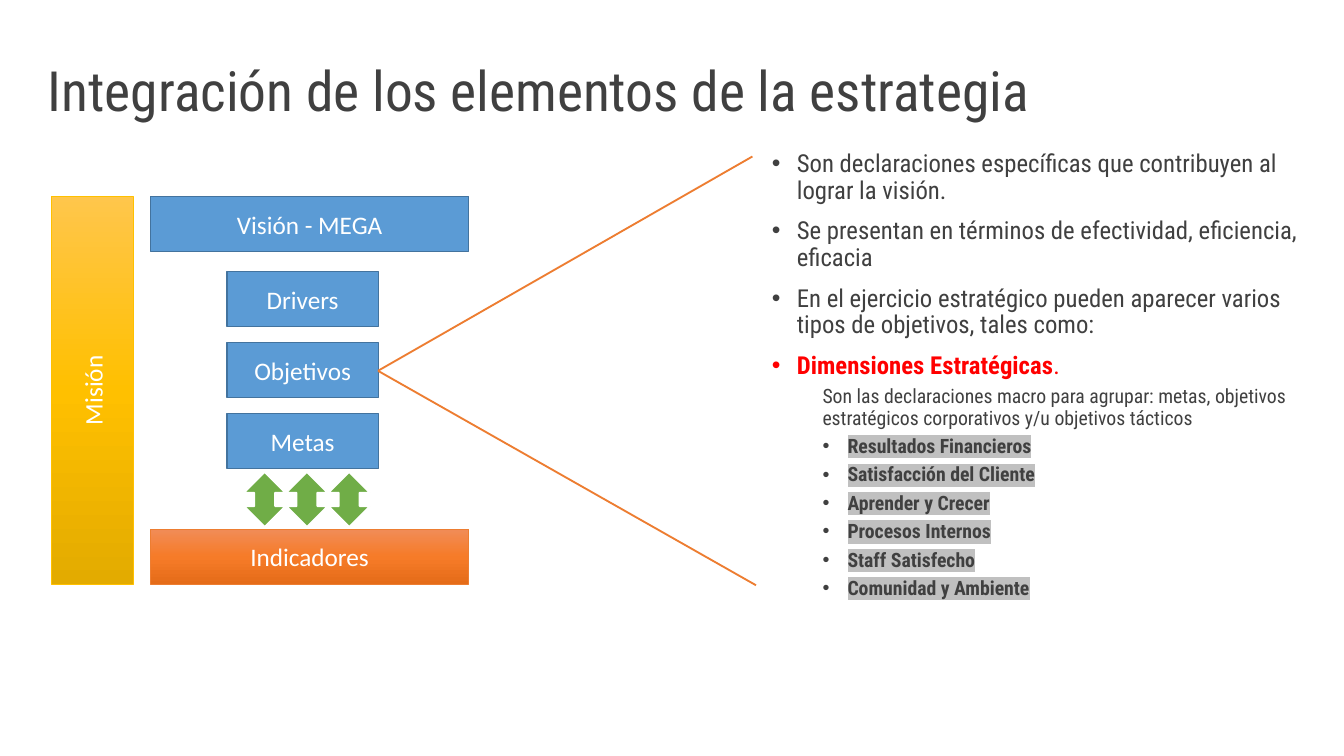
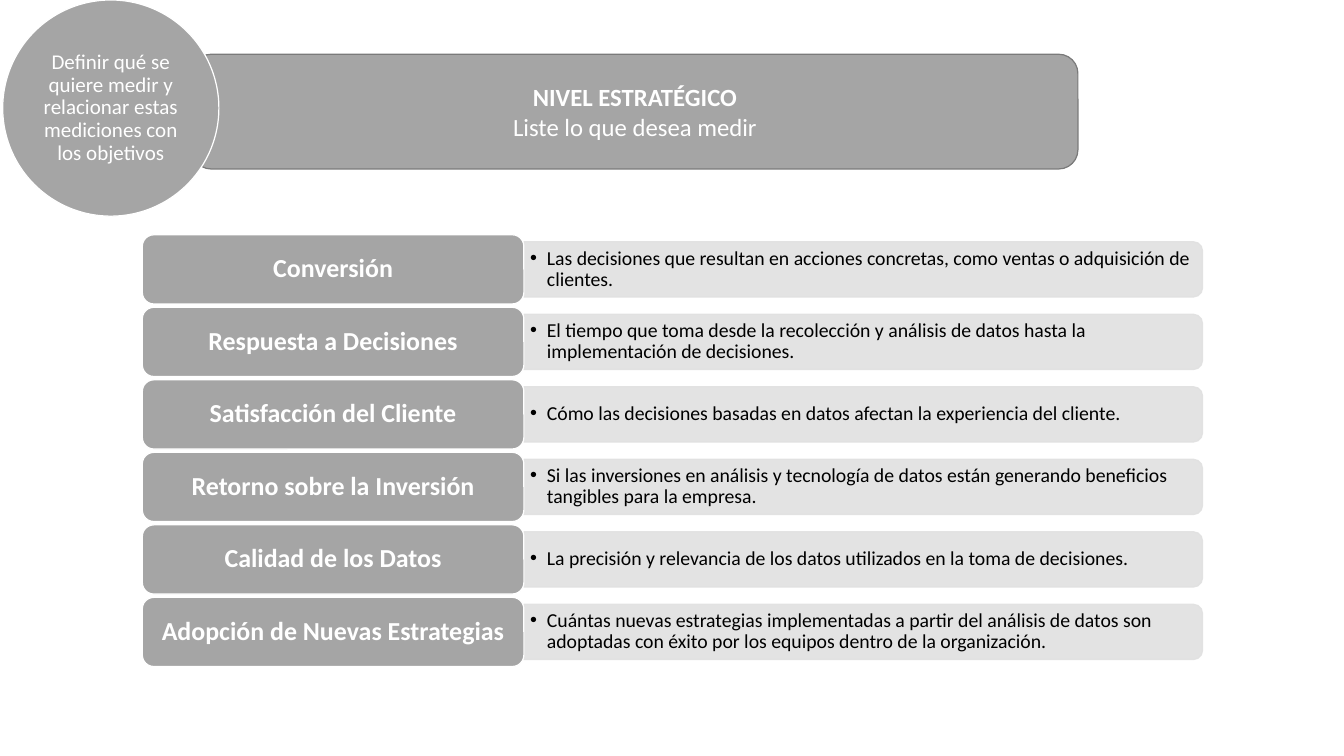
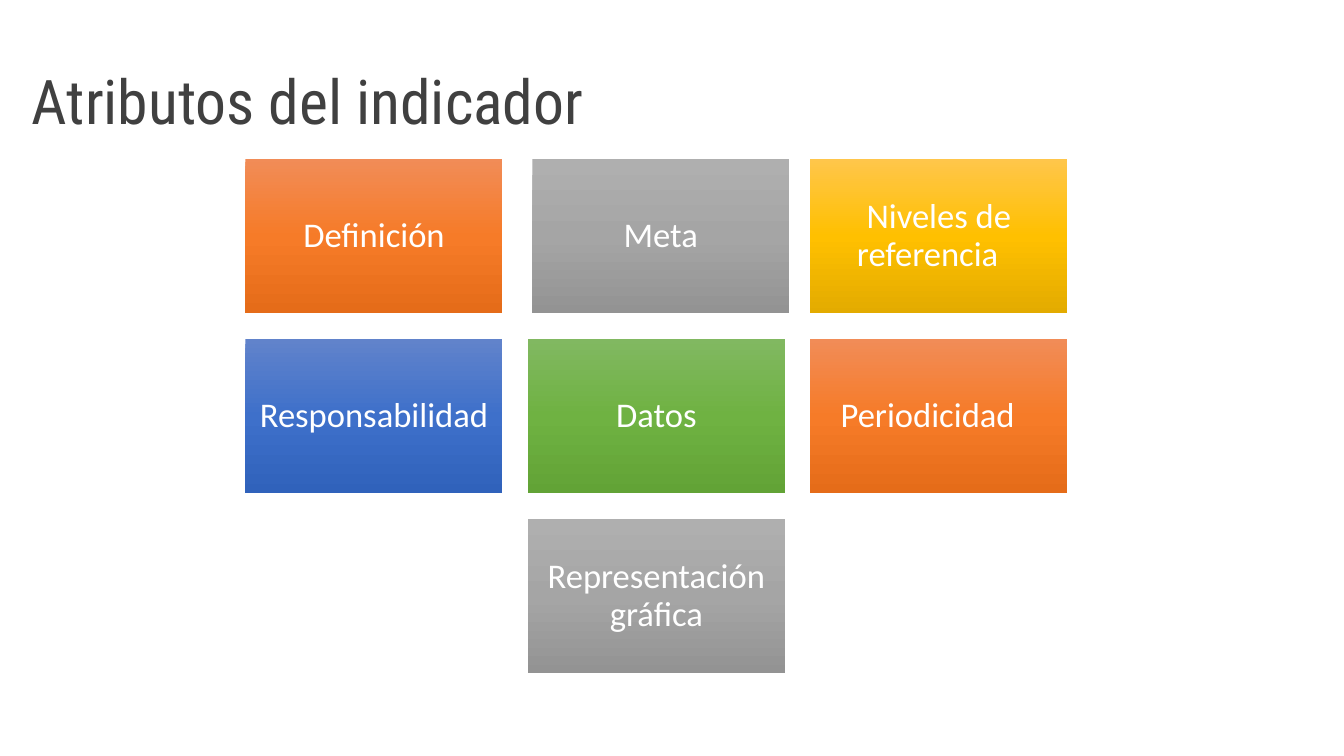
from lxml import etree
from pptx import Presentation
from pptx.dml.color import RGBColor
from pptx.enum.shapes import MSO_CONNECTOR, MSO_SHAPE
from pptx.enum.text import MSO_ANCHOR, PP_ALIGN
from pptx.oxml.ns import qn
from pptx.util import Pt

RECTANGLE = MSO_SHAPE.RECTANGLE
ROUNDED = MSO_SHAPE.ROUNDED_RECTANGLE
ROUNDED_TOP = MSO_SHAPE.ROUND_2_SAME_RECTANGLE
OVAL = MSO_SHAPE.OVAL
DOUBLE_ARROW = MSO_SHAPE.UP_DOWN_ARROW
STRAIGHT = MSO_CONNECTOR.STRAIGHT
LEFT, CENTER = PP_ALIGN.LEFT, PP_ALIGN.CENTER
TOP, MIDDLE = MSO_ANCHOR.TOP, MSO_ANCHOR.MIDDLE

SLIDE_WIDTH, SLIDE_HEIGHT = 1088, 612
DEFAULT_INSETS = (7.2, 3.6, 7.2, 3.6)

WHITE, BLACK, INK, RED = "FFFFFF", "000000", "404040", "FF0000"
BLUE, BLUE_EDGE = "5B9BD5", "43739E"
GRAY, GRAY_EDGE, PALE_GRAY, MARKER = "A5A5A5", "7A7A7A", "E1E1E1", "C0C0C0"
GREEN, ORANGE, GOLD = "70AD47", "ED7D31", "FFC000"

ORANGE_FADE = ("F18C57", "F67B28", "E56C19")
GRAY_FADE = ("AFAFAF", "A5A5A5", "939393")
GOLD_FADE = ("FFC64B", "FFC000", "E3AB00")
BLUE_FADE = ("6183CB", "3E70CA", "3062BB")
GREEN_FADE = ("81B861", "6FB242", "62A336")


def rgb(color):
    return RGBColor.from_string(color)


def write(frame, text, size=20, color=WHITE, font="Calibri", bold=False,
          highlight=None, align=LEFT, spacing=0.9, before=0, margin=0,
          indent=0, bullet=False, same_line=False):
    """Add text as a new paragraph, or to the last one if same_line is set."""
    paragraph = frame.paragraphs[-1]
    if not same_line:
        if paragraph.runs:
            paragraph = frame.add_paragraph()
            paragraph.space_before = Pt(before)
        properties = paragraph._p.get_or_add_pPr()
        properties.set("marL", str(Pt(margin)))
        properties.set("indent", str(Pt(indent)))
        if bullet:
            etree.SubElement(properties, qn("a:buFont"), typeface="Arial")
            etree.SubElement(properties, qn("a:buChar"), char="•")
        paragraph.alignment = align
        paragraph.line_spacing = spacing
    run = paragraph.add_run()
    run.text = text
    run.font.size = Pt(size)
    run.font.bold = bold
    run.font.color.rgb = rgb(color)
    if highlight:
        mark = etree.Element(qn("a:highlight"))
        etree.SubElement(mark, qn("a:srgbClr"), val=highlight)
        run._r.rPr.find(qn("a:solidFill")).addnext(mark)
    run.font.name = font


def fade(shape, colors):
    """Fill the shape from top to bottom with evenly spaced colours."""
    shape.fill.gradient()
    shape.fill.gradient_angle = 270
    stops = shape._element.spPr.find(qn("a:gradFill")).find(qn("a:gsLst"))
    for stop in list(stops):
        stops.remove(stop)
    for index, color in enumerate(colors):
        position = 100000 * index // (len(colors) - 1)
        stop = etree.SubElement(stops, qn("a:gs"), pos=str(position))
        etree.SubElement(stop, qn("a:srgbClr"), val=color)


class Deck:
    title_font = "Roboto Condensed"

    def __init__(self):
        self.presentation = Presentation()
        self.presentation.slide_width = Pt(SLIDE_WIDTH)
        self.presentation.slide_height = Pt(SLIDE_HEIGHT)
        self.slide = None

    def new_slide(self):
        self.slide = self.presentation.slides.add_slide(
            self.presentation.slide_layouts[6])

    def prepare(self, frame, anchor, insets):
        frame.word_wrap = True
        frame.vertical_anchor = anchor
        (frame.margin_left, frame.margin_top,
         frame.margin_right, frame.margin_bottom) = map(Pt, insets)
        return frame

    def text_box(self, box, anchor=MIDDLE, insets=DEFAULT_INSETS):
        frame = self.slide.shapes.add_textbox(*map(Pt, box)).text_frame
        return self.prepare(frame, anchor, insets)

    def title(self, text, box, size):
        write(self.text_box(box), text, size=size, color=INK,
              font=self.title_font)

    def shape(self, kind, box, fill, line=None, width=1.0, text=None,
              insets=DEFAULT_INSETS, **text_format):
        """Draw a shape; a tuple as fill makes a gradient."""
        shape = self.slide.shapes.add_shape(kind, *map(Pt, box))
        shape.shadow.inherit = False
        if isinstance(fill, tuple):
            fade(shape, fill)
        else:
            shape.fill.solid()
            shape.fill.fore_color.rgb = rgb(fill)
        if line:
            shape.line.color.rgb = rgb(line)
            shape.line.width = Pt(width)
        else:
            shape.line.fill.background()
        frame = self.prepare(shape.text_frame, MIDDLE, insets)
        if text:
            write(frame, text, align=CENTER, **text_format)
        return shape

    def bar(self, left, top, width, height, color):
        """Draw a translucent bar with its two right corners rounded."""
        center_x, center_y = left + width / 2, top + height / 2
        upright = (center_x - height / 2, center_y - width / 2, height, width)
        bar = self.shape(ROUNDED_TOP, upright, color, color)
        bar.rotation = 90
        for tint in bar._element.spPr.iter(qn("a:srgbClr")):
            etree.SubElement(tint, qn("a:alpha"), val="90000")

    def line(self, start, end, color, width):
        line = self.slide.shapes.add_connector(
            STRAIGHT, *map(Pt, (*start, *end)))
        line.line.color.rgb = rgb(color)
        line.line.width = Pt(width)
        etree.SubElement(line._element.spPr, qn("a:effectLst"))


def strategy_slide(deck):
    deck.new_slide()
    deck.title("Integración de los elementos de la estrategia",
               (31.7, 24.5, 879, 102), 44.9)

    block = {"size": 20.4, "spacing": 1.0}
    top, height, bottom = 159, 44.6, 473
    mission = deck.shape(RECTANGLE, (41.8, top, 66.2, bottom - top), GOLD_FADE,
                         GOLD, 0.5, "Misión", **block)
    mission.text_frame._txBody.bodyPr.set("vert", "vert270")
    deck.shape(RECTANGLE, (121.7, top, 257.8, height), BLUE, BLUE_EDGE,
               text="Visión - MEGA", **block)
    for row, level in enumerate(("Drivers", "Objetivos", "Metas")):
        deck.shape(RECTANGLE, (183.8, 219.8 + 57.6 * row, 122.4, height),
                   BLUE, BLUE_EDGE, text=level, **block)
    deck.shape(RECTANGLE, (121.7, bottom - height, 257.8, height), ORANGE_FADE,
               ORANGE, 0.5, "Indicadores", **block)
    for column in range(3):
        deck.shape(DOUBLE_ARROW, (197.4 + 34.2 * column, 382, 33.8, 44.6),
                   GREEN, WHITE, 1.5)

    body = deck.text_box((617.8, 118.8, 451.4, 431.3), TOP)
    point = {"font": deck.title_font, "before": 11.3, "margin": 20.2,
             "indent": -20.2, "bullet": True}
    for statement in (
            "Son declaraciones específicas que contribuyen al lograr la visión.",
            "Se presentan en términos de efectividad, eficiencia, eficacia",
            "En el ejercicio estratégico pueden aparecer varios tipos de "
            "objetivos, tales como:"):
        write(body, statement, color=INK, **point)
    write(body, "Dimensiones Estratégicas", color=RED, bold=True, **point)
    write(body, ".", color=RED, font=deck.title_font, same_line=True)
    detail = {"font": deck.title_font, "size": 16, "color": INK, "before": 5.7}
    write(body, "Son las declaraciones macro para agrupar: metas, objetivos "
          "estratégicos corporativos y/u objetivos tácticos",
          margin=41, **detail)
    for dimension in ("Resultados Financieros", "Satisfacción del Cliente",
                      "Aprender y Crecer", "Procesos Internos",
                      "Staff Satisfecho", "Comunidad y Ambiente"):
        write(body, dimension, bold=True, highlight=MARKER, margin=61.2,
              indent=-20.2, bullet=True, **detail)

    for end in ((609.1, 126.7), (612, 473.8)):
        deck.line((306, 300.2), end, ORANGE, 1.5)


def measures_slide(deck):
    deck.new_slide()
    header = deck.shape(ROUNDED, (155.5, 43.9, 717.1, 92.9), GRAY, GRAY_EDGE,
                        text="NIVEL ESTRATÉGICO", bold=True, spacing=1.0)
    write(header.text_frame, "Liste lo que desea medir", align=CENTER,
          spacing=1.0)

    measures = (
        ("Conversión",
         "Las decisiones que resultan en acciones concretas, como ventas o "
         "adquisición de clientes."),
        ("Respuesta a Decisiones",
         "El tiempo que toma desde la recolección y análisis de datos hasta la "
         "implementación de decisiones."),
        ("Satisfacción del Cliente",
         "Cómo las decisiones basadas en datos afectan la experiencia del "
         "cliente."),
        ("Retorno sobre la Inversión",
         "Si las inversiones en análisis y tecnología de datos están generando "
         "beneficios tangibles para la empresa."),
        ("Calidad de los Datos",
         "La precisión y relevancia de los datos utilizados en la toma de "
         "decisiones."),
        ("Adopción de Nuevas Estrategias",
         "Cuántas nuevas estrategias implementadas a partir del análisis de "
         "datos son adoptadas con éxito por los equipos dentro de la "
         "organización."),
    )
    label_left, label_width, label_height = 115.2, 308.9, 56
    bar_left, bar_height = label_left + label_width, 44.8
    for row, (name, meaning) in enumerate(measures):
        top = 190.1 + 58.7 * row
        bar_top = top + (label_height - bar_height) / 2
        deck.bar(bar_left, bar_top, 549.4, bar_height, PALE_GRAY)
        note = deck.text_box((bar_left, bar_top, 547.2, bar_height),
                             insets=(5, 2.2, 5, 2.2))
        write(note, meaning, size=16, color=BLACK, margin=13.7, indent=-13.7,
              bullet=True)
        deck.shape(ROUNDED, (label_left, top, label_width, label_height),
                   GRAY, WHITE, text=name, size=21, bold=True)

    deck.shape(OVAL, (2.2, 0, 175, 175), GRAY, WHITE,
               text="Definir qué se quiere medir y relacionar estas mediciones "
               "con los objetivos", insets=(1.4,) * 4, size=17)


def attributes_slide(deck):
    deck.new_slide()
    deck.title("Atributos del indicador", (18.7, 25.9, 1008, 118), 49.9)

    inset, extra = 8.6, 18
    even = (inset,) * 4
    leaning_left = (inset, inset, inset + extra, inset)
    cards = (
        ("Definición", ORANGE_FADE, 0, 0, 0, even, 0),
        ("Meta", GRAY_FADE, 1, 0, 3.6, even, 0),
        ("Niveles de referencia", GOLD_FADE, 2, 0, 0, leaning_left, extra),
        ("Responsabilidad", BLUE_FADE, 0, 1, 0, even, 0),
        ("Datos", GREEN_FADE, 1, 1, 0, even, 0),
        ("Periodicidad", ORANGE_FADE, 2, 1, 0, leaning_left, 0),
        ("Representación gráfica", GRAY_FADE, 1, 2, 0, even, 0),
    )
    for name, colors, column, row, shift, insets, indent in cards:
        left = 198.7 + 228.6 * column + shift
        top = 128.9 + 145.8 * row
        deck.shape(RECTANGLE, (left, top, 208.1, 124.6), colors, text=name,
                   insets=insets, size=28, indent=indent)


def main():
    deck = Deck()
    strategy_slide(deck)
    measures_slide(deck)
    attributes_slide(deck)
    deck.presentation.save("out.pptx")


if __name__ == "__main__":
    main()
